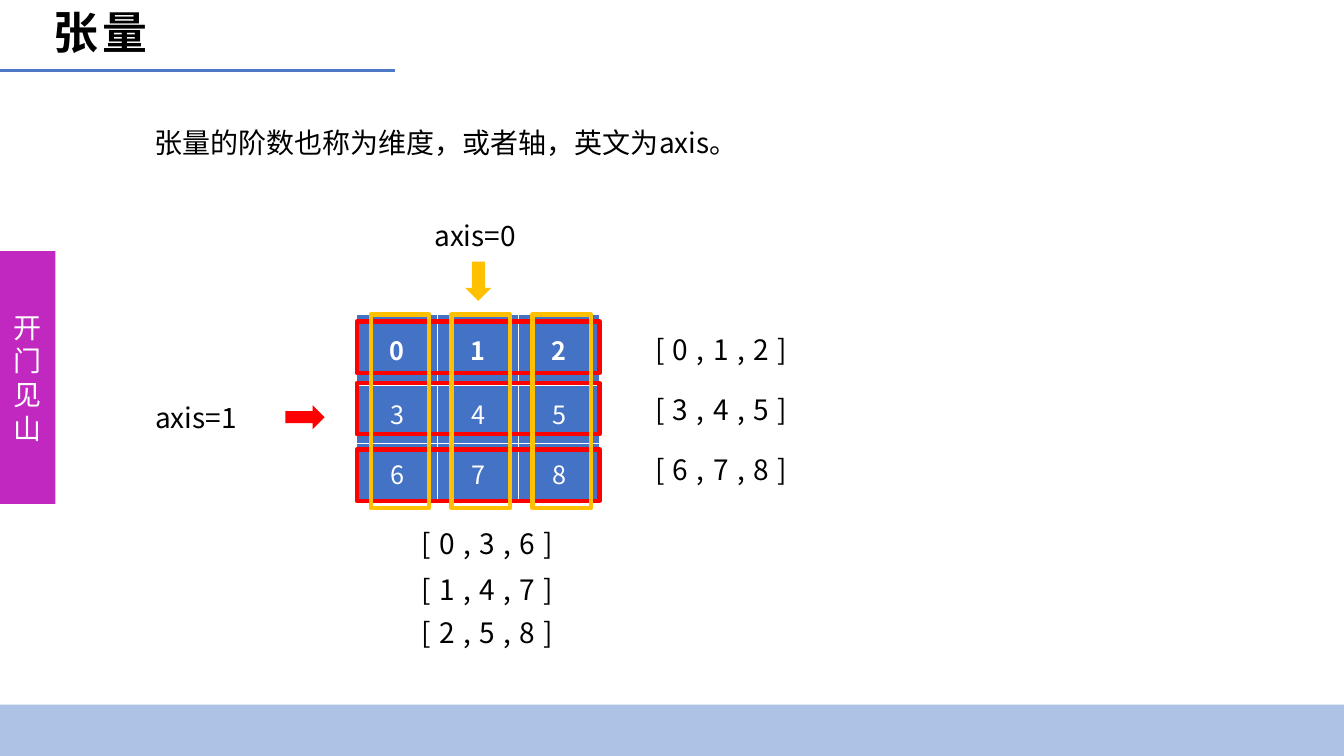
import dataclasses

import lxml.etree
import pptx
import pptx.dml.color
import pptx.enum.shapes
import pptx.enum.text
import pptx.oxml.ns
import pptx.util

Pt = pptx.util.Pt
qn = pptx.oxml.ns.qn
SHAPES = pptx.enum.shapes.MSO_SHAPE
ALIGN = pptx.enum.text.PP_ALIGN
ANCHOR = pptx.enum.text.MSO_ANCHOR
AUTO_SIZE = pptx.enum.text.MSO_AUTO_SIZE


@dataclasses.dataclass(frozen=True)
class Theme:
    font: str = "Noto Sans CJK SC"
    title_size: int = 32
    body_size: int = 20
    cell_size: int = 18
    ink: str = "000000"
    white: str = "FFFFFF"
    blue: str = "4472C4"
    rule: str = "4D79C7"
    purple: str = "C028BF"
    red: str = "FF0000"
    gold: str = "FFC000"


def rgb(value):
    return pptx.dml.color.RGBColor.from_string(value)


class TensorSlide:
    def __init__(self, slide, theme):
        self.slide = slide
        self.theme = theme

    def add_text(self, paragraph, text, size, color, bold=False, spacing=0):
        run = paragraph.add_run()
        run.text = text
        run.font.size = Pt(size)
        run.font.bold = bold
        run.font.color.rgb = rgb(color)
        run.font.name = self.theme.font
        properties = run._r.get_or_add_rPr()
        lxml.etree.SubElement(properties, qn("a:ea"), typeface=self.theme.font)
        if spacing:
            properties.set("spc", str(spacing * 100))

    def label(self, x, y, w, text, spacing=0):
        frame = self.slide.shapes.add_textbox(Pt(x), Pt(y), Pt(w), Pt(31.7)).text_frame
        frame.word_wrap = False
        frame.auto_size = AUTO_SIZE.SHAPE_TO_FIT_TEXT
        self.add_text(frame.paragraphs[0], text, self.theme.body_size,
                      self.theme.ink, spacing=spacing)

    def title(self, x, y, w, h, text):
        frame = self.slide.shapes.add_textbox(Pt(x), Pt(y), Pt(w), Pt(h)).text_frame
        frame.word_wrap = True
        frame.vertical_anchor = ANCHOR.MIDDLE
        frame.paragraphs[0].line_spacing = 0.9
        self.add_text(frame.paragraphs[0], text, self.theme.title_size,
                      self.theme.ink, bold=True, spacing=3)

    def solid(self, kind, x, y, w, h, color, rotation=0, opacity=100):
        shape = self.slide.shapes.add_shape(kind, Pt(x), Pt(y), Pt(w), Pt(h))
        shape.shadow.inherit = False
        shape.rotation = rotation
        shape.fill.solid()
        shape.fill.fore_color.rgb = rgb(color)
        shape.line.fill.background()
        if opacity < 100:
            fill_color = shape._element.spPr.find(f"{qn('a:solidFill')}/{qn('a:srgbClr')}")
            lxml.etree.SubElement(fill_color, qn("a:alpha"), val=str(opacity * 1000))
        return shape

    def side_tab(self, x, y, w, h, text):
        frame = self.solid(SHAPES.RECTANGLE, x, y, w, h, self.theme.purple).text_frame
        frame.word_wrap = True
        frame.vertical_anchor = ANCHOR.MIDDLE
        frame.margin_left = frame.margin_right = Pt(4.3)
        frame.margin_top = frame.margin_bottom = Pt(4.3)
        frame.paragraphs[0].alignment = ALIGN.CENTER
        self.add_text(frame.paragraphs[0], text, self.theme.body_size, self.theme.white)

    def rule(self, x1, y1, x2, y2):
        line = self.slide.shapes.add_connector(
            pptx.enum.shapes.MSO_CONNECTOR.STRAIGHT, Pt(x1), Pt(y1), Pt(x2), Pt(y2))
        line.line.color.rgb = rgb(self.theme.rule)
        line.line.width = Pt(2.25)
        lxml.etree.SubElement(line._element.spPr, qn("a:effectLst"))

    def frames(self, corners, w, h, color, rotation=0):
        group = self.slide.shapes.add_group_shape()
        for x, y in corners:
            outline = group.shapes.add_shape(SHAPES.RECTANGLE, Pt(x), Pt(y), Pt(w), Pt(h))
            outline.shadow.inherit = False
            outline.rotation = rotation
            outline.fill.background()
            outline.line.color.rgb = rgb(color)
            outline.line.width = Pt(3)

    def border(self, cell, side, width):
        line = lxml.etree.SubElement(cell._tc.get_or_add_tcPr(), qn(f"a:ln{side}"),
                                     w=str(Pt(width)))
        fill = lxml.etree.SubElement(line, qn("a:solidFill"))
        lxml.etree.SubElement(fill, qn("a:srgbClr"), val=self.theme.white)

    def matrix(self, x, y, column_width, row_heights, values):
        columns = len(values[0])
        table = self.slide.shapes.add_table(
            len(values), columns, Pt(x), Pt(y),
            Pt(column_width * columns), Pt(sum(row_heights))).table
        table.first_row = table.horz_banding = False
        for column in table.columns:
            column.width = Pt(column_width)
        for r, row_values in enumerate(values):
            table.rows[r].height = Pt(row_heights[r])
            for c, value in enumerate(row_values):
                cell = table.cell(r, c)
                widths = {"L": 1, "R": 1, "T": 3 if r == 1 else 1, "B": 3 if r == 0 else 1}
                for side, width in widths.items():
                    self.border(cell, side, width)
                cell.fill.solid()
                cell.fill.fore_color.rgb = rgb(self.theme.blue)
                cell.vertical_anchor = ANCHOR.MIDDLE
                paragraph = cell.text_frame.paragraphs[0]
                paragraph.alignment = ALIGN.CENTER
                self.add_text(paragraph, str(value), self.theme.cell_size,
                              self.theme.white, bold=r == 0)


def vector(values):
    return "[" + ",".join(str(value) for value in values) + "]"


def main():
    deck = pptx.Presentation()
    deck.slide_width, deck.slide_height = Pt(960), Pt(540)
    theme = Theme()
    page = TensorSlide(deck.slides.add_slide(deck.slide_layouts[6]), theme)

    # Page furniture and heading
    page.solid(SHAPES.RECTANGLE, 0, 503.3, 960, 36.7, theme.blue, opacity=43)
    page.rule(0, 50.4, 282.2, 50.4)
    page.side_tab(0, 179.3, 39.6, 180.7, "开门见山")
    page.title(31, 0, 494.6, 50.4, "张量")
    page.label(103, 86.4, 447, "张量的阶数也称为维度，或者轴，英文为axis。")

    # Matrix
    values = [[0, 1, 2], [3, 4, 5], [6, 7, 8]]
    matrix_left, cell_width = 254.9, 57.8
    page.matrix(matrix_left, 224.6, cell_width, [49.7, 42.5, 42.5], values)

    # Axis 1: rows and their vectors
    page.label(103.7, 282.2, 77.8, "axis=1")
    page.frames([(matrix_left, y) for y in (229.7, 273.6, 321.1)],
                cell_width * 3, 36.7, theme.red)
    for i, row in enumerate(values):
        page.label(460.8, 233.8 + 43 * i, 115.9, vector(row), spacing=6)
    page.solid(SHAPES.RIGHT_ARROW, 203.8, 289.4, 28.1, 17.3, theme.red)

    # Axis 0: columns and their vectors
    page.label(303.1, 152.6, 77.8, "axis=0")
    page.solid(SHAPES.RIGHT_ARROW, 327.6, 191.5, 28.1, 18.7, theme.gold, rotation=90)
    page.frames([(216.5 + cell_width * i, 272.9) for i in range(3)],
                138.2, 41.8, theme.gold, rotation=90)
    for y, column in zip((372.2, 405.4, 436.3), zip(*values)):
        page.label(293.8, y, 115.9, vector(column), spacing=6)

    deck.save("out.pptx")


if __name__ == "__main__":
    main()
